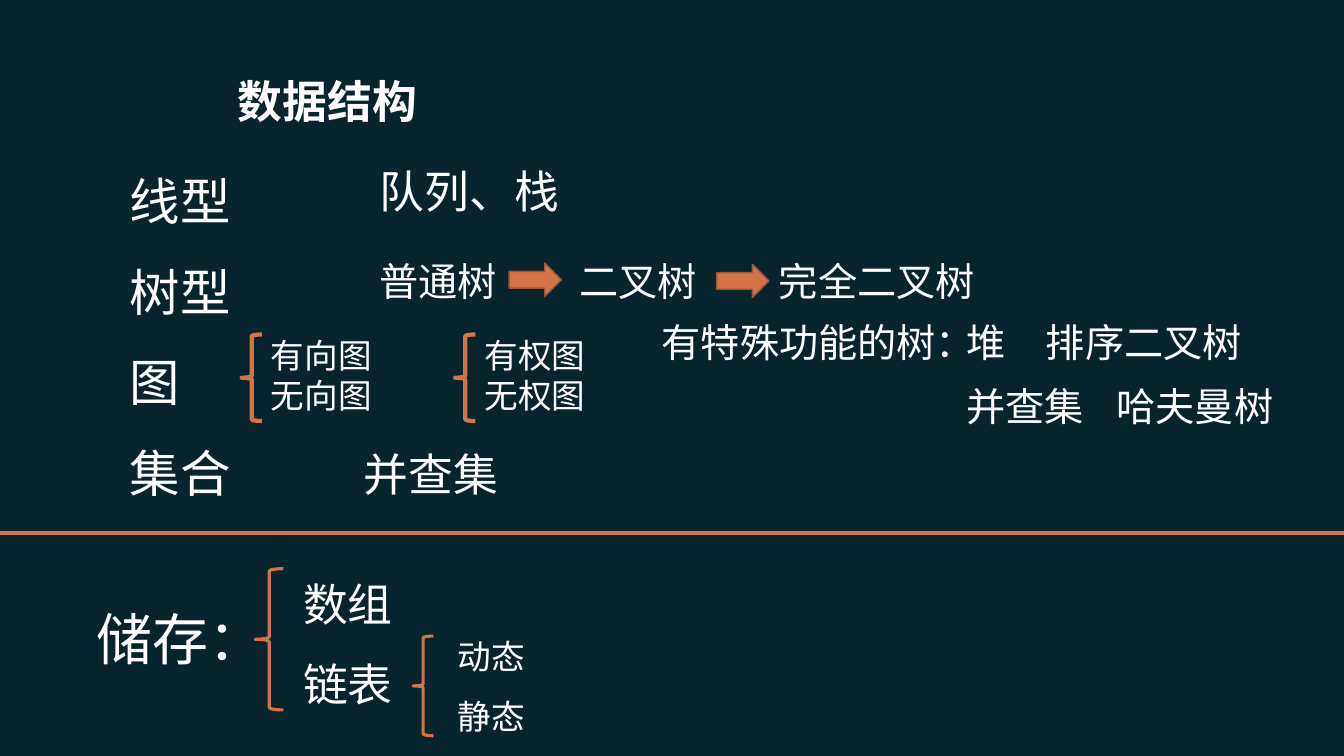
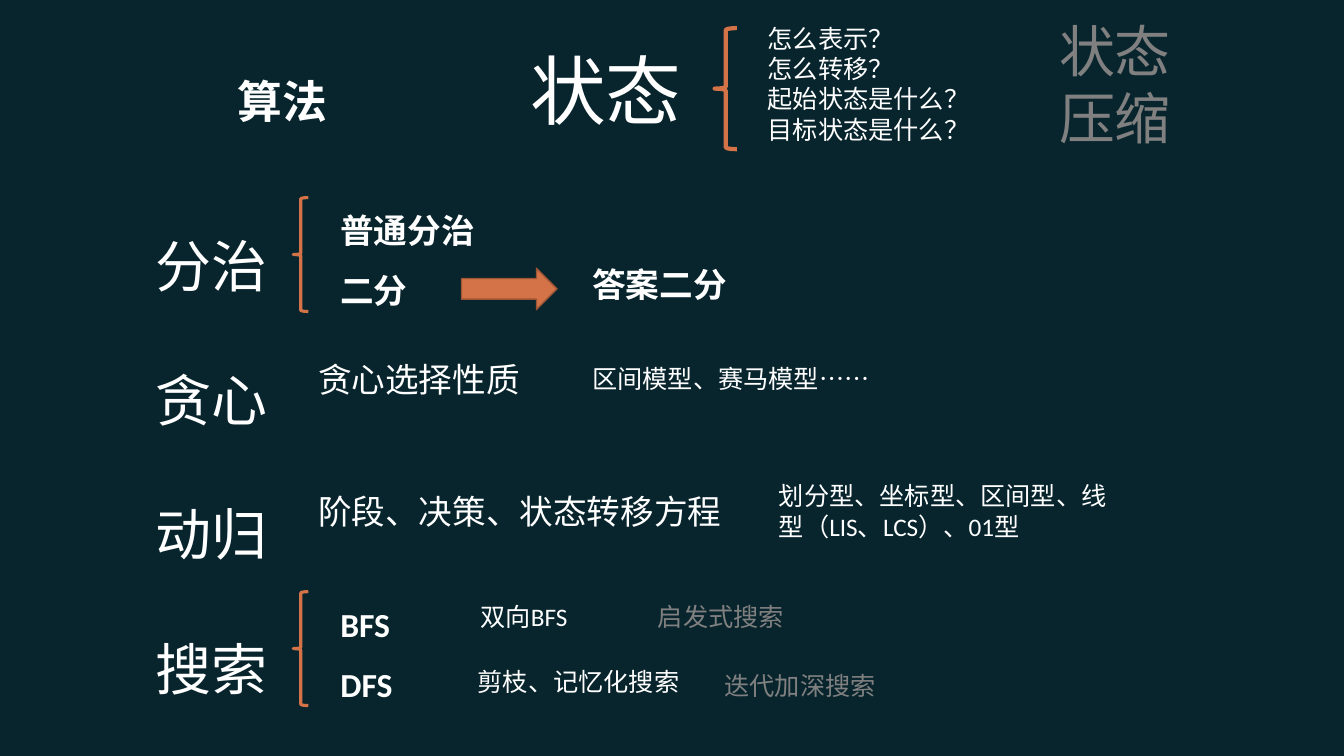
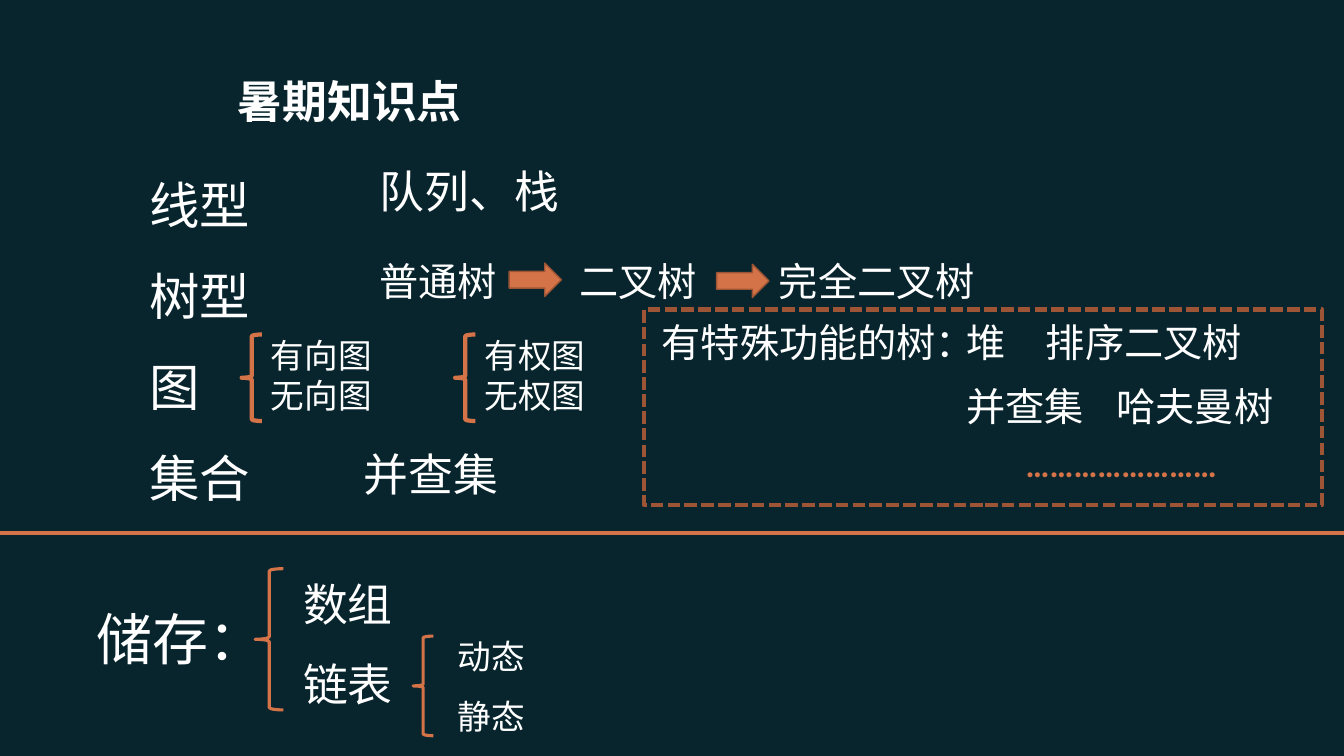
import pptx
import pptx.dml.color
import pptx.enum.dml
import pptx.enum.lang
import pptx.enum.shapes
import pptx.enum.text
import pptx.oxml.ns
import pptx.util
from dataclasses import dataclass

Cm, Pt = pptx.util.Cm, pptx.util.Pt
SHAPE = pptx.enum.shapes.MSO_SHAPE
ANCHOR = pptx.enum.text.MSO_ANCHOR
FIT = pptx.enum.text.MSO_AUTO_SIZE
rgb = pptx.dml.color.RGBColor.from_string


@dataclass(frozen=True)
class Theme:
    back: str = "08252D"
    text: str = "FFFFFF"
    muted: str = "808080"
    accent: str = "D47348"
    edge: str = "9D5535"
    body: str = "Calibri"
    heading: str = "Roboto"
    cjk: str = "Noto Sans CJK SC"
    hero: int = 54
    topic: int = 40
    kind: int = 36
    title: int = 32
    tree: int = 28
    item: int = 24
    note: int = 18


T = Theme()


def add_text(s, text, box, size=T.item, font=T.body, color=T.text, bold=False,
             spacing=None, wrap=True, anchor=ANCHOR.TOP, fit=FIT.SHAPE_TO_FIT_TEXT):
    """Add a text box at box (left, top, width, height in cm), one paragraph a line."""
    tf = s.shapes.add_textbox(*map(Cm, box)).text_frame
    tf.word_wrap, tf.auto_size, tf.vertical_anchor = wrap, fit, anchor
    for i, line in enumerate(text.split("\n")):
        p = tf.paragraphs[0] if i == 0 else tf.add_paragraph()
        p.line_spacing = spacing
        r = p.add_run()
        r.text = line
        r.font.name, r.font.size, r.font.bold = font, Pt(size), bold
        r.font.color.rgb = rgb(color)
        r.font.language_id = pptx.enum.lang.MSO_LANGUAGE_ID.SIMPLIFIED_CHINESE


def add_mark(s, kind, box, weight, line=T.accent, fill=None):
    """Add a brace, arrow or frame at box (cm)."""
    sp = s.shapes.add_shape(kind, *map(Cm, box))
    sp.shadow.inherit = False
    if fill:
        sp.fill.solid()
        sp.fill.fore_color.rgb = rgb(fill)
    else:
        sp.fill.background()
    sp.line.color.rgb = rgb(line)
    sp.line.width = Pt(weight)
    return sp


prs = pptx.Presentation()
prs.slide_width, prs.slide_height = Cm(33.87), Cm(19.05)

# Shared background
back = prs.slide_master.background.fill
back.solid()
back.fore_color.rgb = rgb(T.back)

# Slides with their titles
slides = []
for title in ("数据结构", "算法", "暑期知识点"):
    s = prs.slides.add_slide(prs.slide_layouts[6])
    add_text(s, title, (5.74, 1.52, 20.19, 2.01), size=T.title, font=T.heading,
             bold=True, anchor=ANCHOR.MIDDLE, fit=FIT.NONE)
    slides.append(s)
structures, algorithms, summary = slides

# Data structure overview, on the first and last slides
for s, left, top in ((structures, 3.02, 3.4), (summary, 3.51, 3.51)):
    add_text(s, "线型\n树型\n图\n集合", (left, top, 3.4, 9.22), size=T.kind, spacing=1.5)
    add_text(s, "队列、栈", (9.32, 4.01, 8.53, 1.63), size=T.title)
    add_text(s, "并查集", (8.92, 11.13, 4.9, 1.63), size=T.title)

    # Trees, from general to complete
    for i, (tree, width) in enumerate((("普通树", 3.5), ("二叉树", 3.5), ("完全二叉树", 5.51))):
        add_text(s, tree, (9.32 + 5.03 * i, 6.35, width, 1.45), size=T.tree, wrap=False)
    for x, y in ((12.83, 6.63), (18.06, 6.66)):
        add_mark(s, SHAPE.RIGHT_ARROW, (x, y, 1.32, 0.84), 1, line=T.edge, fill=T.accent)

    # Trees with special functions
    for label, x, y, width in (("有特殊功能的树：", 16.43, 7.9, 8.03),
                               ("堆", 24.1, 7.9, 1.65),
                               ("排序二叉树", 26.11, 7.9, 5.92),
                               ("并查集", 24.1, 9.5, 3.63),
                               ("哈夫曼树", 27.89, 9.52, 4.78)):
        add_text(s, label, (x, y, width, 1.45), size=T.tree)

    # Kinds of graph
    for graphs, x in (("有向图\n无向图", 6.58), ("有权图\n无权图", 11.96)):
        add_text(s, graphs, (x, 8.31, 3.76, 2.31))
        add_mark(s, SHAPE.LEFT_BRACE, (x - 0.49, 8.43, 0.51, 2.18), 3)

    # Storage
    add_text(s, "储存：", (2.18, 15.11, 4.8, 1.96), size=T.topic)
    add_mark(s, SHAPE.LEFT_BRACE, (6.43, 14.33, 0.71, 3.56), 2.25)
    add_text(s, "数组\n链表", (7.39, 13.72, 3.45, 4.37), size=T.title, spacing=1.5)
    add_mark(s, SHAPE.LEFT_BRACE, (10.41, 16.03, 0.51, 2.51), 2.25)
    add_text(s, "动态\n静态", (11.28, 15.39, 4.72, 3.15), spacing=1.5)

    # Divider
    divider = s.shapes.add_connector(pptx.enum.shapes.MSO_CONNECTOR.STRAIGHT,
                                     0, Cm(13.44), prs.slide_width, Cm(13.44))
    divider.line.color.rgb = rgb(T.accent)
    divider.line.width = Pt(3)
    spPr = divider._element.spPr
    spPr.append(spPr.makeelement(pptx.oxml.ns.qn("a:effectLst"), {}))

# Frame around the special trees, on the summary only
frame = add_mark(summary, SHAPE.RECTANGLE, (16.23, 7.8, 17.09, 4.93), 3, line=T.edge)
frame.line.dash_style = pptx.enum.dml.MSO_LINE.SQUARE_DOT
add_text(summary, "……………………", (25.6, 11.05, 6.55, 1.27), color=T.accent, bold=True)

# Algorithms: families
s = algorithms
add_text(s, "分治\n贪心\n动归\n搜索", (3.66, 4.01, 3.51, 13.31), size=T.topic,
         font=T.cjk, spacing=2)

# State questions
add_text(s, "状态", (13.11, 0.97, 4.9, 2.57), size=T.hero, font=T.cjk)
add_mark(s, SHAPE.LEFT_BRACE, (18.01, 0.71, 0.56, 3.05), 3)
add_text(s, "怎么表示？\n怎么转移？\n起始状态是什么？\n目标状态是什么？",
         (19.1, 0.46, 6.43, 3.33), size=T.note)
add_text(s, "状态压缩", (26.44, 0.28, 4.09, 3.68), size=T.topic, color=T.muted)

# Divide and conquer, and search
for members, y, width in (("普通分治\n二分", 4.98, 4.57), ("BFS\nDFS", 14.91, 2.54)):
    add_mark(s, SHAPE.LEFT_BRACE, (7.39, y, 0.38, 2.87), 2.25)
    add_text(s, members, (8.33, y - 0.33, width, 3.15), bold=True, spacing=1.5)
add_mark(s, SHAPE.RIGHT_ARROW, (11.63, 6.76, 2.41, 1.04), 1, line=T.edge, fill=T.accent)
add_text(s, "答案二分", (14.68, 6.53, 4.06, 1.27), bold=True)

# Greedy and dynamic programming properties
add_text(s, "贪心选择性质", (7.77, 8.92, 6.63, 1.27))
add_text(s, "阶段、决策、状态转移方程", (7.77, 12.24, 10.97, 1.27))

# Models and refinements
for note, box, color in (
        ("区间模型、赛马模型……", (14.68, 9.04, 8.76, 1.02), T.text),
        ("划分型、坐标型、区间型、线型（LIS、LCS）、01型", (19.38, 11.99, 8.76, 1.8), T.text),
        ("双向BFS", (11.86, 15.04, 3.1, 1.02), T.text),
        ("启发式搜索", (16.33, 15.04, 4.09, 1.02), T.muted),
        ("剪枝、记忆化搜索", (11.79, 16.66, 5.84, 1.02), T.text),
        ("迭代加深搜索", (18.01, 16.76, 4.5, 1.02), T.muted)):
    add_text(s, note, box, size=T.note, color=color)

prs.save("out.pptx")
